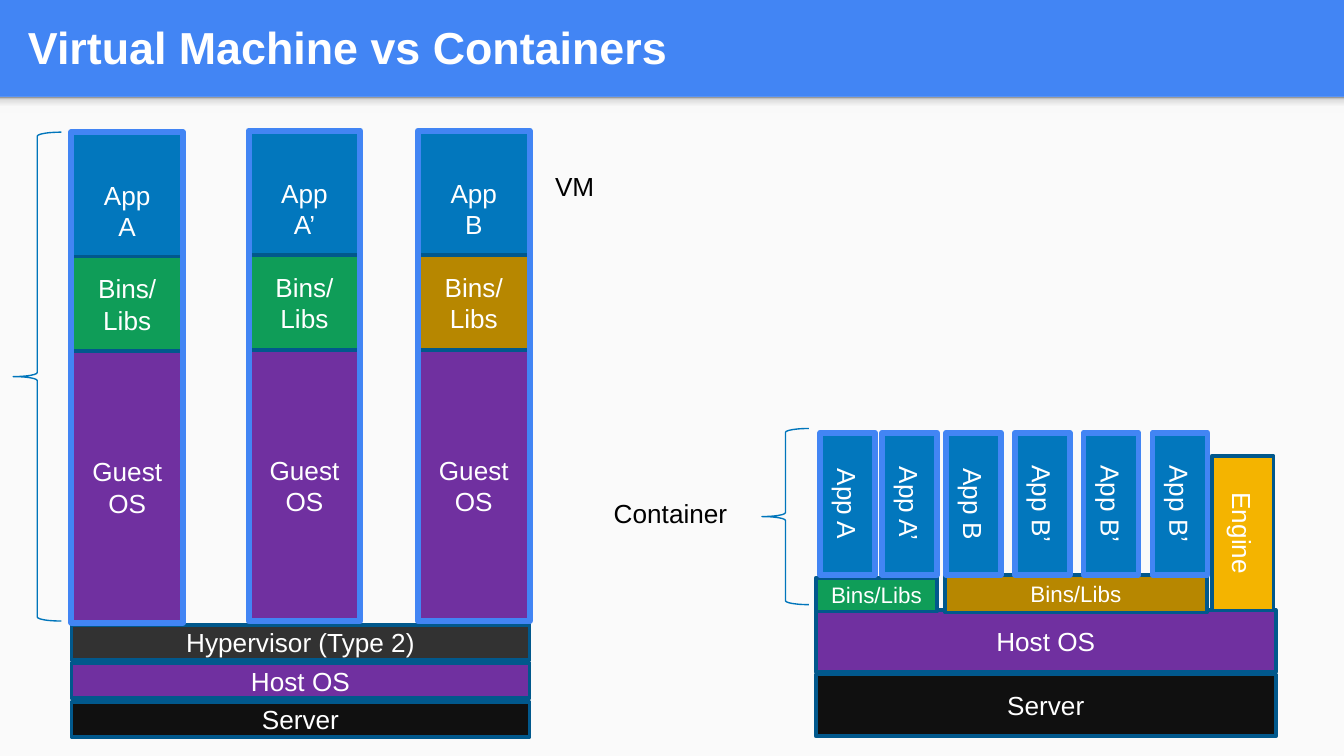
from dataclasses import dataclass

from lxml.etree import SubElement
from pptx import Presentation
from pptx.dml.color import RGBColor
from pptx.enum.shapes import MSO_SHAPE as Preset
from pptx.enum.text import MSO_ANCHOR as Anchor, PP_ALIGN as Align
from pptx.oxml.ns import qn
from pptx.util import Cm, Pt

BLUE, BRIGHT_BLUE, EDGE = "0277BD", "4285F4", "01588C"
GREEN, OCHRE, PURPLE, AMBER = "0F9D58", "B78700", "7030A0", "F4B400"
CHARCOAL, BLACK, WHITE, PAPER = "323232", "101010", "FFFFFF", "FAFAFA"


@dataclass
class Box:
    """A rectangle in centimetres."""
    left: float
    top: float
    width: float
    height: float

    def inner(self, left, top, width, height):
        """A box given relative to this one's top left corner."""
        return Box(self.left + left, self.top + top, width, height)

    def lengths(self):
        return [Cm(v) for v in (self.left, self.top, self.width, self.height)]


def color(hex_string):
    return RGBColor.from_string(hex_string)


def write_lines(frame, text, size, text_color, align, bold=False):
    for index, line in enumerate(text.split("\n")):
        paragraph = frame.paragraphs[0] if index == 0 else frame.add_paragraph()
        paragraph.alignment = align
        run = paragraph.add_run()
        run.text = line
        run.font.name = "Arial"
        run.font.size = Pt(size)
        run.font.bold = bold
        run.font.color.rgb = color(text_color)


def add_block(slide, box, fill=None, line=None, line_width=2, text="", size=14,
              preset=Preset.RECTANGLE, vertical=False, inset_top=0):
    shape = slide.shapes.add_shape(preset, *box.lengths())
    shape.shadow.inherit = False
    if fill:
        shape.fill.solid()
        shape.fill.fore_color.rgb = color(fill)
    else:
        shape.fill.background()
    if line:
        shape.line.color.rgb = color(line)
        shape.line.width = Pt(line_width)
    else:
        shape.line.fill.background()
    if text:
        frame = shape.text_frame
        frame.word_wrap = True
        frame.vertical_anchor = Anchor.MIDDLE
        frame.margin_left = frame.margin_right = frame.margin_bottom = 0
        frame.margin_top = Cm(inset_top)
        if vertical:
            frame._txBody.bodyPr.set("vert", "vert")
        write_lines(frame, text, size, WHITE, Align.CENTER)
    return shape


def add_label(slide, box, text, size=14, text_color="000000", bold=False,
              anchor=Anchor.TOP, wrap=False):
    frame = slide.shapes.add_textbox(*box.lengths()).text_frame
    frame.word_wrap = wrap
    frame.vertical_anchor = anchor
    write_lines(frame, text, size, text_color, Align.LEFT, bold)


def add_brace(slide, box):
    add_block(slide, box, line="0075BB", line_width=0.75, preset=Preset.LEFT_BRACE)


def add_background(slide, box):
    """Header colour, light body panel and the soft shade between them."""
    slide.background.fill.solid()
    slide.background.fill.fore_color.rgb = color(BRIGHT_BLUE)
    add_block(slide, box, PAPER)

    shade = add_block(slide, box.inner(0, 0, box.width, 0.3), PAPER)
    shade.fill.gradient()
    shade.fill.gradient_angle = 90
    stops = shade._element.spPr.find(qn("a:gradFill")).find(qn("a:gsLst"))
    for stop in list(stops):
        stops.remove(stop)
    for percent, hex_string in ((0, "F9F9F9"), (36, "F9F9F9"), (80, "DEDEDE"), (100, "999999")):
        stop = SubElement(stops, qn("a:gs"), pos=str(percent * 1000))
        SubElement(stop, qn("a:srgbClr"), val=hex_string)


def add_machine(slide, box, app, libs_color):
    """One virtual machine: app, libraries and guest system in a frame."""
    libs_top, guest_top = 2.35, 4.14
    width = box.width
    add_block(slide, box.inner(0, 0, width, libs_top), BLUE,
              text=f"App\n{app}", inset_top=0.6)
    add_block(slide, box.inner(0, libs_top, width, guest_top - libs_top),
              libs_color, EDGE, text="Bins/\nLibs")
    add_block(slide, box.inner(0, guest_top, width, box.height - guest_top),
              PURPLE, EDGE, text="Guest\nOS")
    add_block(slide, box, line=BRIGHT_BLUE, line_width=3.25)


def add_virtual_machines(slide, box):
    layers = (("Hypervisor (Type 2)", CHARCOAL), ("Host OS", PURPLE), ("Server", BLACK))
    for index, (text, fill) in enumerate(layers):
        add_block(slide, box.inner(0, 9.34 + 0.73 * index, box.width, 0.66), fill, EDGE,
                  text=text, preset=Preset.FLOWCHART_PROCESS)

    machines = ((0, 0.03, "A", GREEN), (3.35, 0, "A’", GREEN), (6.55, 0, "B", OCHRE))
    for left, top, app, libs_color in machines:
        add_machine(slide, box.inner(left, top, 2.11, 9.27), app, libs_color)

    add_brace(slide, box.inner(-1.1, 0.03, 0.91, 9.24))
    add_label(slide, box.inner(8.89, 0.63, 1.27, 0.86), "VM")


def add_containers(slide, box):
    for top, text, fill in ((3.35, "Host OS", PURPLE), (4.57, "Server", BLACK)):
        add_block(slide, box.inner(0, top, box.width, 1.17), fill, EDGE,
                  text=text, preset=Preset.FLOWCHART_PROCESS)
    add_block(slide, box.inner(7.48, 0.44, 1.17, 2.92), AMBER, EDGE, text="Engine",
              preset=Preset.FLOWCHART_PROCESS, vertical=True)

    groups = (
        (Box(0, 2.74, 2.29, 0.64), GREEN, 0.08, 1.17, ("A", "A’")),
        (Box(2.44, 2.69, 4.95, 0.71), OCHRE, 2.46, 1.3, ("B", "B’", "B’", "B’")),
    )
    for libs, libs_color, first_left, pitch, apps in groups:
        add_block(slide, box.inner(libs.left, libs.top, libs.width, libs.height),
                  libs_color, EDGE, text="Bins/Libs", size=12)
        for index, app in enumerate(apps):
            add_block(slide, box.inner(first_left + pitch * index, 0, 1.04, 2.69),
                      BLUE, BRIGHT_BLUE, 3, text=f"App {app}", vertical=True)

    add_brace(slide, box.inner(-1.02, -0.08, 0.89, 3.33))
    add_label(slide, box.inner(-4.07, 1.09, 3.07, 1.02), "Container")


def main():
    presentation = Presentation()
    presentation.slide_width, presentation.slide_height = Cm(25.4), Cm(14.29)
    slide = presentation.slides.add_slide(presentation.slide_layouts[6])

    add_background(slide, Box(0, 1.83, 25.4, 12.46))
    add_label(slide, Box(0.28, 0.05, 24.51, 1.68), "Virtual Machine vs Containers",
              size=24, text_color=WHITE, bold=True, anchor=Anchor.MIDDLE, wrap=True)
    add_virtual_machines(slide, Box(1.35, 2.47, 8.66, 11.46))
    add_containers(slide, Box(15.42, 8.18, 8.69, 5.74))
    presentation.save("out.pptx")


if __name__ == "__main__":
    main()
